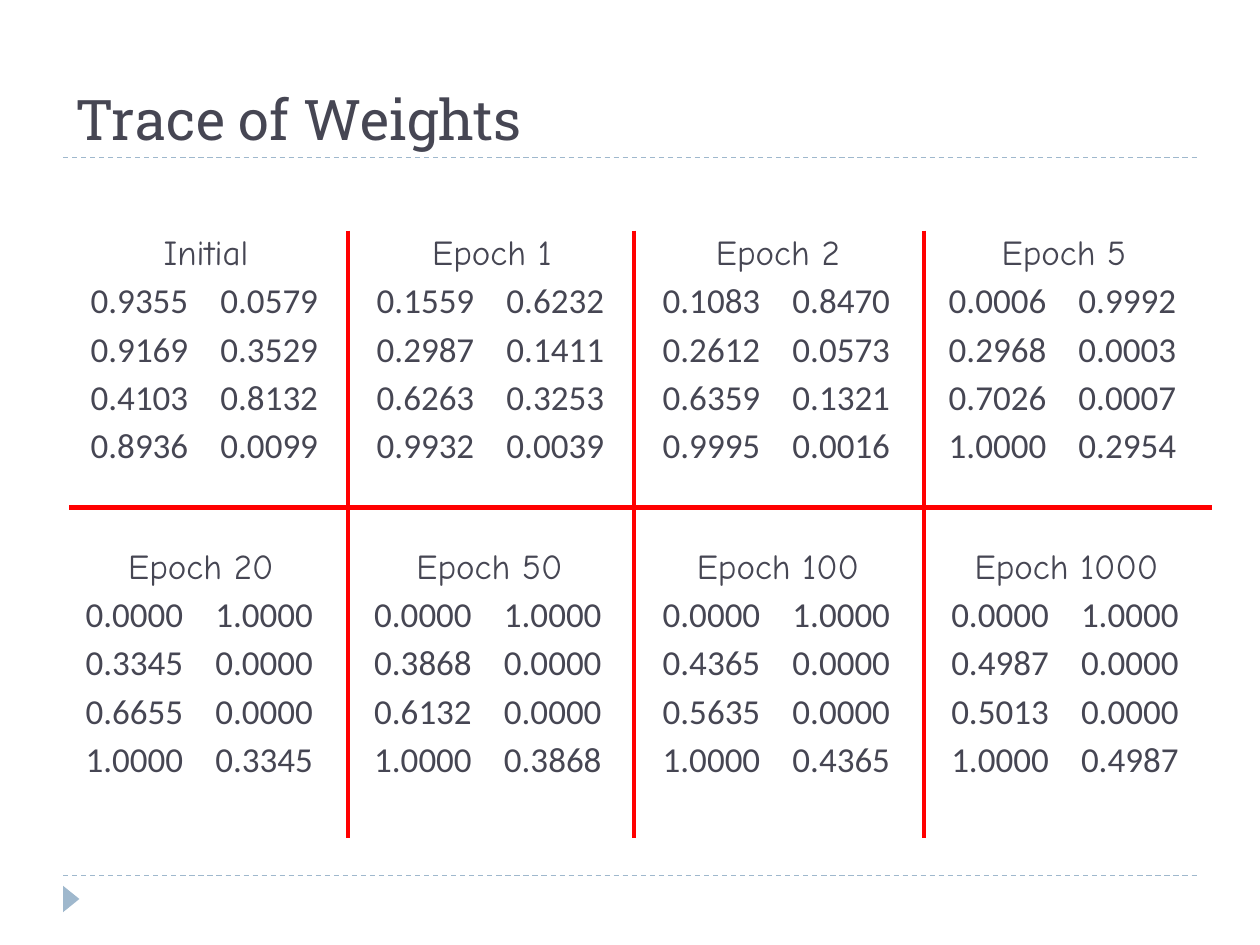
from lxml.etree import SubElement
from pptx import Presentation
from pptx.dml.color import RGBColor
from pptx.enum.dml import MSO_LINE
from pptx.enum.shapes import MSO_CONNECTOR, MSO_SHAPE
from pptx.enum.text import MSO_ANCHOR, PP_ALIGN
from pptx.oxml.ns import qn
from pptx.util import Inches, Pt

INK, ACCENT, RED = "464653", "9FB8CD", "FF0000"
TITLE = "Trace of Weights"
EPOCH_ROWS = [
    (1.78, 0.47, 2.27, [
        ("Initial", ["0.9355 0.0579", "0.9169 0.3529", "0.4103 0.8132", "0.8936 0.0099"]),
        ("Epoch 1", ["0.1559 0.6232", "0.2987 0.1411", "0.6263 0.3253", "0.9932 0.0039"]),
        ("Epoch 2", ["0.1083 0.8470", "0.2612 0.0573", "0.6359 0.1321", "0.9995 0.0016"]),
        ("Epoch 5", ["0.0006 0.9992", "0.2968 0.0003", "0.7026 0.0007", "1.0000 0.2954"]),
    ]),
    (4.27, 0.43, 2.29, [
        ("Epoch 20", ["0.0000 1.0000", "0.3345 0.0000", "0.6655 0.0000", "1.0000 0.3345"]),
        ("Epoch 50", ["0.0000 1.0000", "0.3868 0.0000", "0.6132 0.0000", "1.0000 0.3868"]),
        ("Epoch 100", ["0.0000 1.0000", "0.4365 0.0000", "0.5635 0.0000", "1.0000 0.4365"]),
        ("Epoch 1000", ["0.0000 1.0000", "0.4987 0.0000", "0.5013 0.0000", "1.0000 0.4987"]),
    ]),
]
RULES = [(0.5, y, 9.5, y, ACCENT, 0.75, MSO_LINE.DASH) for y in (6.95, 1.25)]
DIVIDERS = [(x, 1.83, x, 6.65, RED, 2.25, None) for x in (2.76, 5.03, 7.33)]
DIVIDERS.append((0.55, 4.03, 9.62, 4.03, RED, 3, None))
PANEL_WIDTH, PANEL_HEIGHT = 2.33, 2.03
SECOND_WEIGHT = 1.03
PANEL_FRAME = {"word_wrap": True, "margin_left": Inches(0.25), "margin_right": Inches(0.25)}
TITLE_FRAME = {"word_wrap": True, "vertical_anchor": MSO_ANCHOR.BOTTOM}
HEADING = {"alignment": PP_ALIGN.CENTER, "space_before": Pt(3.6)}
WEIGHTS = {"alignment": PP_ALIGN.LEFT, "space_before": Pt(3.6)}


def color(value):
    return RGBColor.from_string(value)


def apply(target, values):
    for name, value in values.items():
        setattr(target, name, value)


def add_line(slide, x1, y1, x2, y2, stroke, width, dash):
    rule = slide.shapes.add_connector(
        MSO_CONNECTOR.STRAIGHT, Inches(x1), Inches(y1), Inches(x2), Inches(y2))
    rule.line.color.rgb = color(stroke)
    apply(rule.line, {"width": Pt(width), "dash_style": dash})
    SubElement(rule._element.spPr, qn("a:effectLst"))


def add_frame(slide, x, y, width, height, values):
    frame = slide.shapes.add_textbox(
        Inches(x), Inches(y), Inches(width), Inches(height)).text_frame
    apply(frame, values)
    return frame


def write(paragraph, words, font, size, values):
    apply(paragraph, values)
    run = paragraph.add_run()
    run.text = words
    apply(run.font, {"name": font, "size": Pt(size)})
    run.font.color.rgb = color(INK)


def add_tab(paragraph, position):
    tabs = SubElement(paragraph._p.get_or_add_pPr(), qn("a:tabLst"))
    SubElement(tabs, qn("a:tab"), pos=str(Inches(position)), algn="l")


def add_panel(slide, x, y, heading, weights):
    frame = add_frame(slide, x, y, PANEL_WIDTH, PANEL_HEIGHT, PANEL_FRAME)
    write(frame.paragraphs[0], heading, "Comic Neue", 20, HEADING)
    for pair in weights:
        paragraph = frame.add_paragraph()
        write(paragraph, "\t".join(pair.split()), "Calibri", 20, WEIGHTS)
        add_tab(paragraph, SECOND_WEIGHT)


def main():
    deck = Presentation()
    apply(deck, {"slide_width": Inches(10), "slide_height": Inches(7.5)})
    slide = deck.slides.add_slide(deck.slide_layouts[6])

    for rule in RULES:
        add_line(slide, *rule)
    marker = slide.shapes.add_shape(
        MSO_SHAPE.ISOSCELES_TRIANGLE, Inches(0.46), Inches(7.07), Inches(0.21), Inches(0.13))
    marker.rotation = 90
    marker.shadow.inherit = False
    marker.fill.solid()
    marker.fill.fore_color.rgb = color(ACCENT)
    marker.line.fill.background()

    title = add_frame(slide, 0.5, 0.25, 9, 1, TITLE_FRAME)
    write(title.paragraphs[0], TITLE, "Roboto Slab", 32, {})

    for top, left, pitch, panels in EPOCH_ROWS:
        for column, (heading, weights) in enumerate(panels):
            add_panel(slide, left + column * pitch, top, heading, weights)
    for divider in DIVIDERS:
        add_line(slide, *divider)

    deck.save("out.pptx")


if __name__ == "__main__":
    main()
